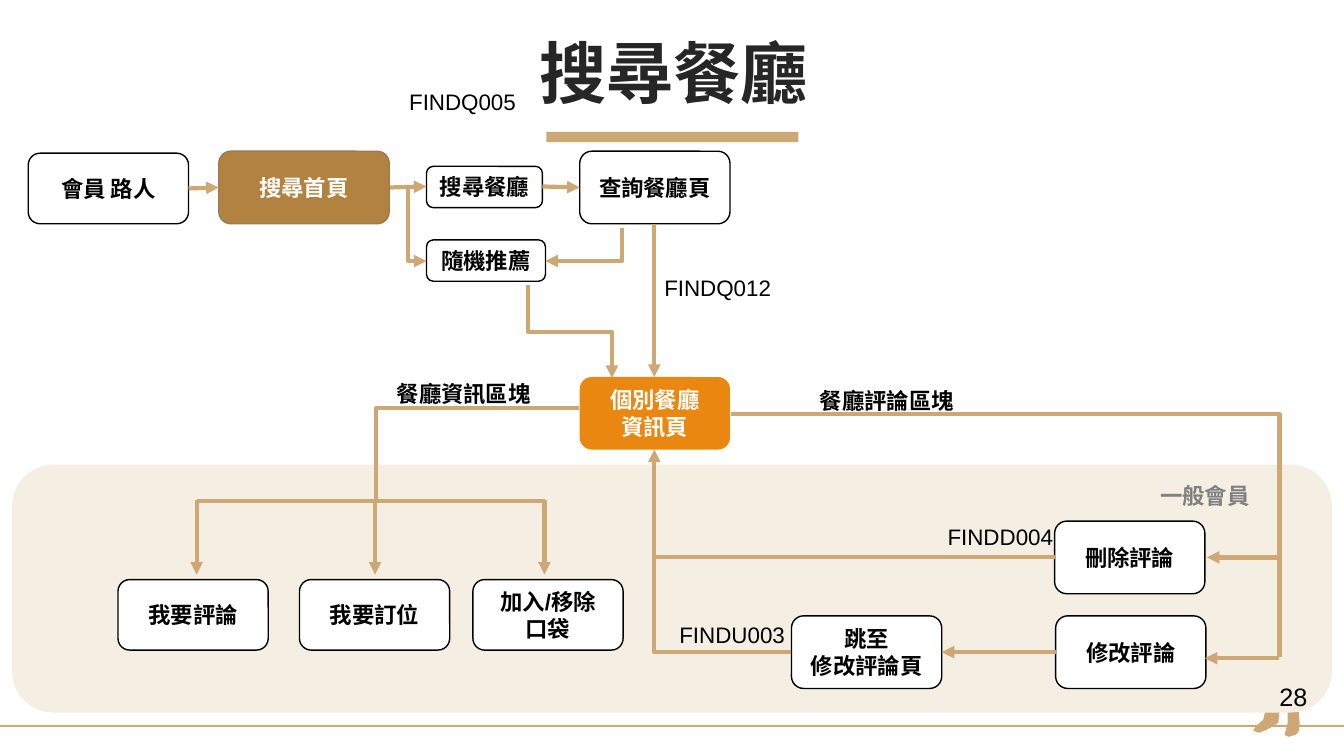
from lxml import etree
from pptx import Presentation
from pptx.dml.color import RGBColor
from pptx.enum.shapes import MSO_CONNECTOR, MSO_SHAPE
from pptx.enum.text import MSO_ANCHOR, PP_ALIGN
from pptx.oxml.ns import qn
from pptx.util import Emu, Pt

PX = 9144
TITLE_ONLY = 5
STRAIGHT, ELBOW = MSO_CONNECTOR.STRAIGHT, MSO_CONNECTOR.ELBOW
RECT, ROUND = MSO_SHAPE.RECTANGLE, MSO_SHAPE.ROUNDED_RECTANGLE
PROCESS = MSO_SHAPE.FLOWCHART_ALTERNATE_PROCESS
TOP, MIDDLE = MSO_ANCHOR.TOP, MSO_ANCHOR.MIDDLE
LEFT, CENTER = PP_ALIGN.LEFT, PP_ALIGN.CENTER

BLACK = RGBColor(0x00, 0x00, 0x00)
WHITE = RGBColor(0xFF, 0xFF, 0xFF)
INK = RGBColor(0x26, 0x26, 0x26)
GREY = RGBColor(0x80, 0x80, 0x80)
TAN = RGBColor(0xCD, 0xA8, 0x74)
CREAM = RGBColor(0xF5, 0xEE, 0xE3)
BROWN = RGBColor(0xB1, 0x82, 0x40)
BROWN_EDGE = RGBColor(0x98, 0x7C, 0x56)
ORANGE = RGBColor(0xEA, 0x87, 0x10)
ARIAL, NOTO = "Arial", "Noto Sans CJK SC"


def px(*values):
    return [Emu(round(v * PX)) for v in values]


class FlowSlide:
    def __init__(self, prs):
        self.s = prs.slides.add_slide(prs.slide_layouts[TITLE_ONLY])

    def put_text(self, tf, text, size=16, font=ARIAL, color=BLACK, bold=True,
                 align=CENTER, anchor=MIDDLE, wrap=True):
        tf.word_wrap = wrap
        tf.vertical_anchor = anchor
        p = tf.paragraphs[0]
        p.alignment = align
        for i, line in enumerate(text.split("\n")):
            if i:
                p.add_line_break()
            r = p.add_run()
            r.text = line
            r.font.size, r.font.bold, r.font.name = Pt(size), bold, font
            r.font.color.rgb = color
            etree.SubElement(r._r.rPr, qn("a:ea")).set("typeface", NOTO)
        return p

    def title(self, text, box):
        sp = self.s.shapes.title
        sp.left, sp.top, sp.width, sp.height = px(*box)
        p = self.put_text(sp.text_frame, text, 48, NOTO, INK)
        p.line_spacing = 0.9
        p.space_before = Pt(10)

    def paint(self, sp, fill, line=None):
        sp.shadow.inherit = False
        sp.fill.solid()
        sp.fill.fore_color.rgb = fill
        if line is None:
            sp.line.fill.background()
        else:
            sp.line.color.rgb = line
            sp.line.width = Pt(1)

    def box(self, box, text="", kind=ROUND, fill=WHITE, line=BLACK, **style):
        sp = self.s.shapes.add_shape(kind, *px(*box))
        self.paint(sp, fill, line)
        if text:
            self.put_text(sp.text_frame, text, **style)

    def label(self, box, text, **style):
        sp = self.s.shapes.add_textbox(*px(*box))
        self.put_text(sp.text_frame, text, anchor=TOP, **style)

    def code(self, box, text, size=16):
        self.label(box, text, size=size, bold=False, align=LEFT, wrap=False)

    def outline(self, points, fill):
        start, *rest = points
        builder = self.s.shapes.build_freeform(*start, scale=PX)
        builder.add_line_segments(rest, close=True)
        self.paint(builder.convert_to_shape(), fill)

    def route(self, *points, arrow=True, width=3):
        (x1, y1), (x2, y2) = points[0], points[-1]
        dx, dy = x2 - x1, y2 - y1
        bent = len(points) > 2
        vertical = bent and points[1][0] == x1
        ends = (x1, y1, x2, y2)
        if vertical:
            cx, cy = (x1 + x2) / 2, (y1 + y2) / 2
            ends = (cx + dy / 2, cy - dx / 2, cx - dy / 2, cy + dx / 2)
        c = self.s.shapes.add_connector(ELBOW if bent else STRAIGHT, *px(*ends))
        c.line.color.rgb = TAN
        c.line.width = Pt(width)
        sppr = c._element.spPr
        if vertical:
            sppr.find(qn("a:xfrm")).set("rot", "16200000")
        if len(points) == 3:
            sppr.find(qn("a:prstGeom")).set("prst", "bentConnector2")
        if arrow:
            etree.SubElement(sppr.find(qn("a:ln")), qn("a:tailEnd")).set("type", "triangle")
        etree.SubElement(sppr, qn("a:effectLst"))


def main():
    prs = Presentation()
    prs.slide_width, prs.slide_height = px(1333, 750)
    flow = FlowSlide(prs)

    flow.box((542, 131, 250, 10), kind=RECT, fill=TAN, line=None)
    flow.route((0, 720), (1333, 720), arrow=False, width=1.5)
    flow.outline([(1255, 705), (1269, 705), (1268, 717), (1262, 721), (1256, 724),
                  (1249, 727), (1243, 725), (1246, 720), (1253, 714)], TAN)
    flow.outline([(1277, 705), (1288, 705), (1289, 718), (1288, 726), (1285, 729),
                  (1278, 731), (1274, 729), (1277, 718)], TAN)
    flow.title("搜尋餐廳", (35, 37, 1266, 79))
    flow.box((12, 461, 1309, 246), kind=PROCESS, fill=CREAM, line=None)

    flow.box((28, 152, 159, 70), "會員 路人", kind=PROCESS)
    flow.box((217, 150, 169, 72), "搜尋首頁", fill=BROWN, line=BROWN_EDGE, color=WHITE)
    flow.box((423, 165, 115, 41), "搜尋餐廳", font=NOTO)
    flow.box((423, 238, 118, 41), "隨機推薦", font=NOTO)
    flow.box((575, 150, 149, 72), "查詢餐廳頁")
    flow.box((575, 374, 149, 72), "個別餐廳\n資訊頁", fill=ORANGE, line=None, color=WHITE)
    for x, text in ((117, "我要評論"), (297, "我要訂位"), (469, "加入/移除\n口袋")):
        flow.box((x, 575, 149, 70), text, kind=PROCESS)
    for x, y, text in ((1046, 517, "刪除評論"), (1047, 611, "修改評論"),
                       (785, 611, "跳至\n修改評論頁")):
        flow.box((x, y, 149, 72), text)

    flow.route((187, 187), (217, 186))
    flow.route((387, 186), (423, 185))
    flow.route((538, 185), (575, 186))
    flow.route((405, 184), (405, 259), (423, 259))
    flow.route((617, 226), (617, 259), (541, 259))
    flow.route((524, 283), (524, 329), (607, 329), (607, 375))
    flow.route((649, 222), (649, 374))

    flow.route((574, 405), (373, 405), (373, 496), arrow=False)
    flow.route((541, 497), (195, 497), arrow=False)
    for x in (195, 372, 540):
        flow.route((x, 496), (x, 570))

    flow.route((725, 411), (1269, 411), (1269, 652), arrow=False)
    flow.route((1271, 553), (1197, 553))
    flow.route((1269, 653), (1195, 653))
    flow.route((1047, 647), (934, 647))
    flow.route((1046, 553), (649, 553), (649, 446))
    flow.route((785, 647), (649, 647), (649, 481), arrow=False)

    for x, y, text in ((396, 83, "FINDQ005"), (649, 267, "FINDQ012"),
                       (930, 514, "FINDD004"), (664, 611, "FINDU003")):
        flow.code((x, y, 127, 37), text)
    flow.label((370, 372, 180, 37), "餐廳資訊區塊", font=NOTO)
    flow.label((789, 379, 181, 37), "餐廳評論區塊", font=NOTO)
    flow.label((1083, 473, 224, 37), "一般會員", font=NOTO, color=GREY)
    flow.code((1259, 671, 48, 40), "28", size=18)

    prs.save("out.pptx")


if __name__ == "__main__":
    main()
